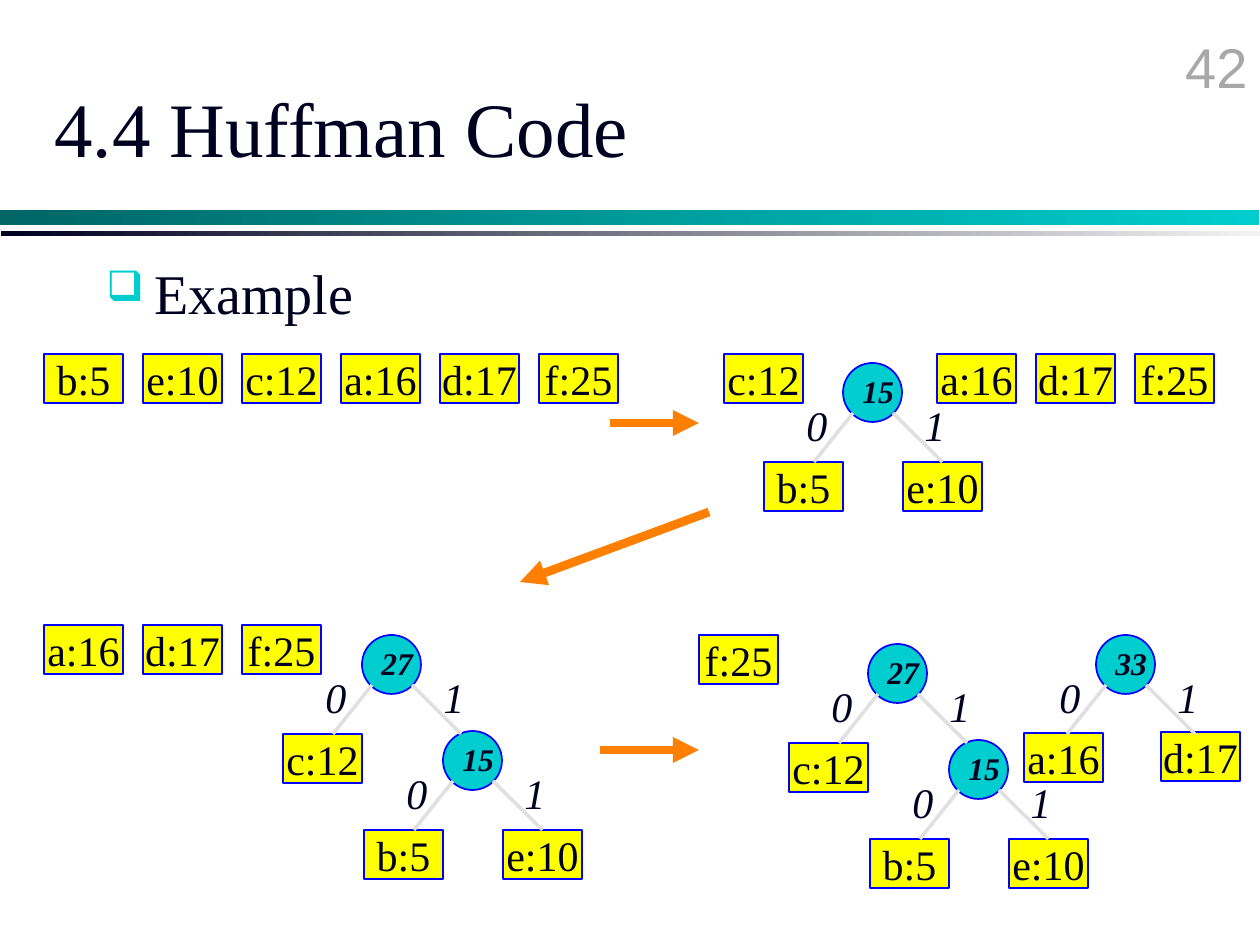
from pptx import Presentation
from pptx.dml.color import RGBColor
from pptx.enum.shapes import MSO_CONNECTOR as Line, MSO_SHAPE as Shape
from pptx.enum.text import MSO_ANCHOR as Anchor, MSO_AUTO_SIZE as AutoSize, PP_ALIGN as Align
from pptx.oxml.ns import qn
from pptx.util import Pt
from lxml.etree import SubElement

# Content: a tree is (weight, left child, right child), a leaf is a string
TITLE, BULLET, NUMBER = "4.4 Huffman Code", "Example", "42"
TREE_15 = ("15", "b:5", "e:10")
TREE_27 = ("27", "c:12", TREE_15)
TREE_33 = ("33", "a:16", "d:17")

# Each step: rows of leaves (left, top, symbols) and trees (left, top, tree)
STEPS = [
    {"rows": [(44, 354, ["b:5", "e:10", "c:12", "a:16", "d:17", "f:25"])], "trees": []},
    {"rows": [(724, 354, ["c:12"]), (937, 354, ["a:16", "d:17", "f:25"])],
     "trees": [(843, 363, TREE_15)]},
    {"rows": [(44, 625, ["a:16", "d:17", "f:25"])], "trees": [(362, 635, TREE_27)]},
    {"rows": [(699, 635, ["f:25"])],
     "trees": [(868, 644, TREE_27), (1096, 635, TREE_33)]},
]
ARROWS = [((610, 423), (699, 423)), ((709, 512), (520, 582)), ((600, 750), (699, 750))]

# Geometry in px
PX = 914400 / 126
PAGE = (1260, 945)
LEAF, PITCH, NODE = (79, 49), 99, 59
LEFT_LEAF, RIGHT_LEAF, RIGHT_NODE = (-79, 99), (60, 99), (81, 96)
WIDE_LEAVES = {"33": ((-72, 98), (65, 97))}
EDGES = (((10, 50), (-29, 99)), ((50, 50), (99, 99)))
BIT_LABELS = (("0", -49, 30), ("1", 69, 30))

THEME = {
    "ink": "000020", "grey": "A8A8A8", "teal": "00CECE", "yellow": "FFFF00",
    "blue": "0000FF", "edge": "E0E0E0", "orange": "FF8000",
    "bars": (((0, 210, 1259, 15), "006666", "00CECE"), ((1, 231, 1259, 5), "000020", "F3F3F3")),
    "serif": "Times New Roman", "sans": "Arial",
    "title": 44, "body": 32, "symbol": 24, "weight": 18,
}


def emu(*lengths):
    return [round(length * PX) for length in lengths]


def colour(name):
    return RGBColor.from_string(THEME.get(name, name))


def write(shape, text, size, ink="ink", face="serif", align=Align.LEFT,
          before=0, frame=None, **font):
    """Put one formatted paragraph in a shape and return it."""
    for name, value in {"word_wrap": True, **(frame or {})}.items():
        setattr(shape.text_frame, name, value)
    para = shape.text_frame.paragraphs[0]
    para.alignment = align
    if before:
        spacing = SubElement(para._p.get_or_add_pPr(), qn("a:spcBef"))
        SubElement(spacing, qn("a:spcPct"), val=str(before * 1000))
    span = para.add_run()
    span.text = text
    for name, value in {"name": THEME[face], "size": Pt(THEME[size]), **font}.items():
        setattr(span.font, name, value)
    span.font.color.rgb = colour(ink)
    return para


def add_text(shapes, area, *args, **options):
    return write(shapes.add_textbox(*emu(*area)), *args, **options)


def add_shape(shapes, kind, area, fill):
    shape = shapes.add_shape(kind, *emu(*area))
    shape.shadow.inherit = False
    shape.fill.solid()
    shape.fill.fore_color.rgb = colour(fill)
    shape.line.color.rgb = colour("blue")
    shape.line.width = Pt(1)
    return shape


def add_line(shapes, start, end, ink, width):
    line = shapes.add_connector(Line.STRAIGHT, *emu(*start, *end))
    line.line.color.rgb = colour(ink)
    line.line.width = Pt(width)
    SubElement(line._element.spPr, qn("a:effectLst"))
    return line


def add_leaf(shapes, left, top, symbol):
    box = add_shape(shapes, Shape.RECTANGLE, (left, top, *LEAF), "yellow")
    write(box, symbol, "symbol", align=Align.CENTER,
          frame={"word_wrap": False, "vertical_anchor": Anchor.MIDDLE})
    return box


def add_tree(shapes, left, top, tree):
    """Draw a node over its children, with edges and their bits."""
    if isinstance(tree, str):
        return add_leaf(shapes, left, top, tree)
    weight, *children = tree
    right_place = RIGHT_LEAF if isinstance(children[1], str) else RIGHT_NODE
    places = WIDE_LEAVES.get(weight, (LEFT_LEAF, right_place))
    drawn = [add_tree(shapes, left + dx, top + dy, child)
             for (dx, dy), child in zip(places, children)]
    node = add_shape(shapes, Shape.OVAL, (left, top, NODE, NODE), "teal")
    lines = [add_line(shapes, *[(left + dx, top + dy) for dx, dy in edge], "edge", 2)
             for edge in EDGES]
    if places[1] == RIGHT_LEAF:
        lines[1].end_connect(drawn[1], 0)
    for bit, dx, dy in BIT_LABELS:
        add_text(shapes, (left + dx, top + dy, 69, 63), bit, "symbol", before=50,
                 italic=True, frame={"auto_size": AutoSize.SHAPE_TO_FIT_TEXT})
    add_text(shapes, (left + 7, top + 3, 57, 50), weight, "weight", bold=True, italic=True,
             frame={"word_wrap": False, "auto_size": AutoSize.SHAPE_TO_FIT_TEXT})
    return node


def add_heading(shapes):
    for area, first, last in THEME["bars"]:
        bar = add_shape(shapes, Shape.RECTANGLE, area, first)
        bar.line.fill.background()
        bar.fill.gradient()
        bar.fill.gradient_angle = 0
        for stop, shade, position in zip(bar.fill.gradient_stops, (first, last), (0, 1)):
            stop.color.rgb = colour(shade)
            stop.position = position
    add_text(shapes, (998, 21, 262, 63), NUMBER, "body", ink="grey", face="sans",
             align=Align.RIGHT, frame={"margin_top": emu(12)[0]})
    add_text(shapes, (42, 48, 1071, 157), TITLE, "title",
             frame={"vertical_anchor": Anchor.MIDDLE})
    para = add_text(shapes, (94, 252, 1071, 588), BULLET, "body", before=20)
    props = para._p.get_or_add_pPr()
    indent = emu(48)[0]
    props.set("marL", str(indent))
    props.set("indent", str(-indent))
    SubElement(SubElement(props, qn("a:buClr")), qn("a:srgbClr"), val=THEME["teal"])
    SubElement(props, qn("a:buSzPct"), val="75000")
    SubElement(props, qn("a:buChar"), char="❑")


def main():
    deck = Presentation()
    deck.slide_width, deck.slide_height = emu(*PAGE)
    page = deck.slides.add_slide(deck.slide_layouts[6])
    add_heading(page.shapes)

    # Steps of the merge; those with trees are grouped
    for step in STEPS:
        shapes = page.shapes.add_group_shape().shapes if step["trees"] else page.shapes
        for left, top, symbols in step["rows"]:
            for index, symbol in enumerate(symbols):
                add_leaf(shapes, left + index * PITCH, top, symbol)
        for left, top, tree in step["trees"]:
            add_tree(shapes, left, top, tree)

    # Arrows from step to step
    for start, end in ARROWS:
        arrow = add_line(page.shapes, start, end, "orange", 5)
        SubElement(arrow.line._get_or_add_ln(), qn("a:tailEnd"), type="triangle")

    deck.save("out.pptx")


if __name__ == "__main__":
    main()
